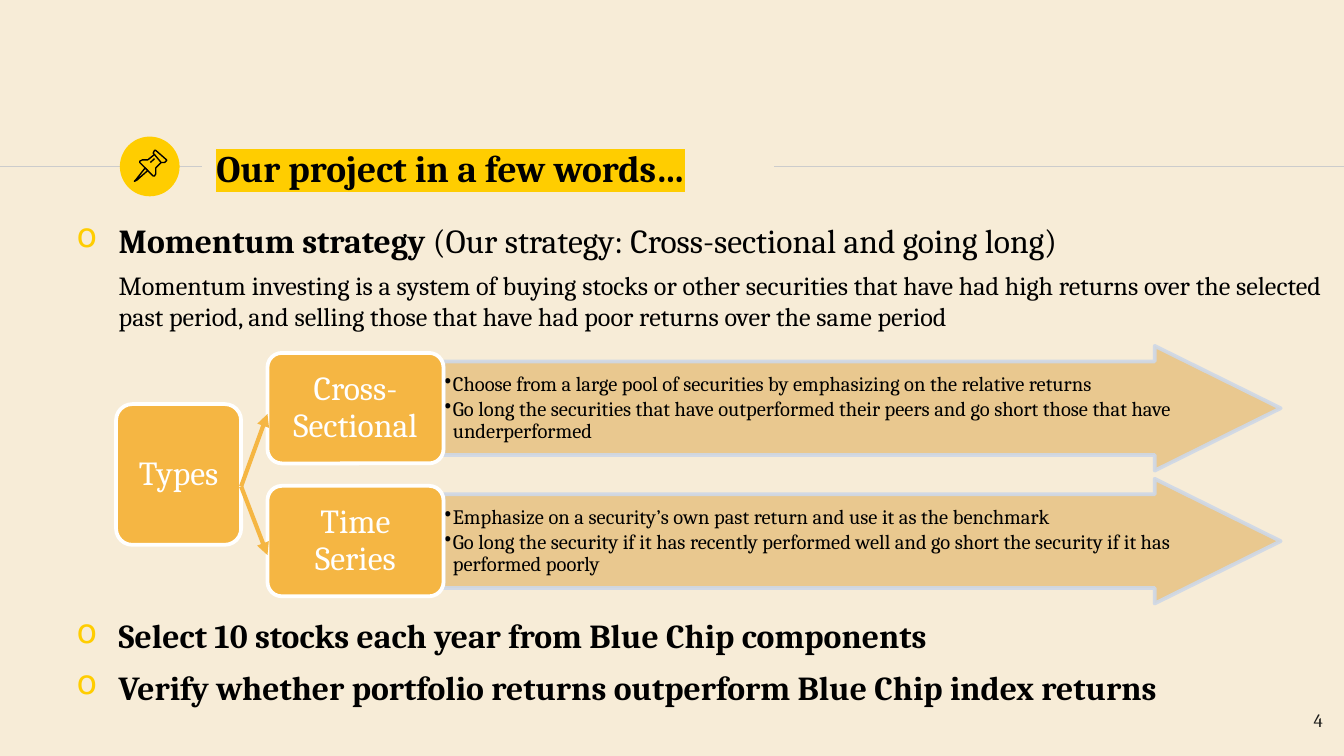
from dataclasses import dataclass
from typing import Optional

from lxml.etree import SubElement
from pptx import Presentation
from pptx.dml.color import RGBColor
from pptx.enum.shapes import MSO_CONNECTOR as Connector, MSO_SHAPE as Shape
from pptx.enum.text import MSO_ANCHOR as Anchor, PP_ALIGN as Align
from pptx.oxml.ns import qn
from pptx.util import Pt

COLORS = {
    "background": "F7ECD7", "yellow": "FFCD00", "rule": "CCCCCC",
    "black": "000000", "white": "FFFFFF", "page": "1D1D1B",
    "box": "F5B643", "arrow": "E8C588", "arrow_edge": "CED8E7",
}
FONT = "Cambria"


@dataclass(frozen=True)
class Phrase:
    text: str
    size: float = 18
    bold: bool = False
    color: str = "black"


@dataclass(frozen=True)
class Line:
    phrases: tuple[Phrase, ...]
    bullet: Optional[str] = None
    bullet_color: str = "black"
    indent: float = 0
    before: float = 0
    spacing: Optional[float] = None
    align: Align = Align.LEFT


@dataclass(frozen=True)
class Strategy:
    name: str
    center: float
    points: tuple[str, ...]


def rgb(name: str) -> RGBColor:
    return RGBColor.from_string(COLORS[name])


def write(frame, lines: list[Line], margins=(7.2, 7.2), anchor=Anchor.TOP) -> None:
    """Fill a text frame; margins are (sides, top and bottom)."""
    frame.word_wrap = True
    frame.vertical_anchor = anchor
    frame.margin_left = frame.margin_right = Pt(margins[0])
    frame.margin_top = frame.margin_bottom = Pt(margins[1])
    for i, line in enumerate(lines):
        paragraph = frame.paragraphs[0] if i == 0 else frame.add_paragraph()
        paragraph.alignment = line.align
        paragraph.space_before = Pt(line.before)
        if line.spacing:
            paragraph.line_spacing = line.spacing
        props = paragraph._p.get_or_add_pPr()
        props.set("marL", str(Pt(line.indent)))
        if line.bullet:
            props.set("indent", str(-Pt(line.indent)))
            tint = SubElement(props, qn("a:buClr"))
            SubElement(tint, qn("a:srgbClr"), val=COLORS[line.bullet_color])
            SubElement(props, qn("a:buChar"), char=line.bullet)
        for phrase in line.phrases:
            run = paragraph.add_run()
            run.text = phrase.text
            run.font.name = FONT
            run.font.size = Pt(phrase.size)
            run.font.bold = phrase.bold
            run.font.color.rgb = rgb(phrase.color)


def add_text(slide, left, top, width, height, lines: list[Line]) -> None:
    box = slide.shapes.add_textbox(Pt(left), Pt(top), Pt(width), Pt(height))
    write(box.text_frame, lines)


def add_solid(slide, kind, left, top, width, height, fill, edge=None):
    solid = slide.shapes.add_shape(kind, Pt(left), Pt(top), Pt(width), Pt(height))
    solid.shadow.inherit = False
    solid.fill.solid()
    solid.fill.fore_color.rgb = rgb(fill)
    if edge:
        solid.line.color.rgb = rgb(edge)
        solid.line.width = Pt(2)
    else:
        solid.line.fill.background()
    return solid


def add_line(slide, start, end, color, width, arrowhead=False) -> None:
    line = slide.shapes.add_connector(
        Connector.STRAIGHT, *(Pt(value) for value in (*start, *end)))
    line.line.color.rgb = rgb(color)
    line.line.width = Pt(width)
    if arrowhead:
        SubElement(line.line._get_or_add_ln(), qn("a:tailEnd"), type="triangle")
    SubElement(line._element.spPr, qn("a:effectLst"))


def add_outline(slide, points, closed: bool) -> None:
    first, *rest = [(Pt(x), Pt(y)) for x, y in points]
    builder = slide.shapes.build_freeform(*first)
    builder.add_line_segments(rest, close=closed)
    outline = builder.convert_to_shape()
    outline.shadow.inherit = False
    outline.fill.background()
    outline.line.color.rgb = rgb("black")
    outline.line.width = Pt(0.75)


def add_label_box(slide, label: str, left, center, width, height) -> None:
    box = add_solid(slide, Shape.ROUNDED_RECTANGLE, left, center - height / 2,
                    width, height, "box", "white")
    box.adjustments[0] = 0.13
    line = Line((Phrase(label, color="white"),), spacing=0.9, align=Align.CENTER)
    write(box.text_frame, [line], (5, 4), Anchor.MIDDLE)


def add_strategy(slide, strategy: Strategy) -> None:
    arrow = add_solid(slide, Shape.RIGHT_ARROW, 237.6, strategy.center - 33.4,
                      448.5, 66.8, "arrow", "arrow_edge")
    arrow.adjustments[0], arrow.adjustments[1] = 0.75, 1.01
    for color in arrow._element.spPr.iter(qn("a:srgbClr")):
        SubElement(color, qn("a:alpha"), val="90000")
    lines = [Line((Phrase(point, 11),), "•", indent=4.5, before=1.6 if i else 0,
                  spacing=0.9) for i, point in enumerate(strategy.points)]
    write(arrow.text_frame, lines, (0.5, 0), Anchor.MIDDLE)
    add_label_box(slide, strategy.name, 143.3, strategy.center, 94.3, 59.2)


def bullet_line(*phrases: Phrase, before: float = 0) -> Line:
    return Line(phrases, "o", "yellow", 22.5, before)


STRATEGIES = [
    Strategy("Cross- Sectional", 218.7, (
        "Choose from a large pool of securities by emphasizing on the relative returns",
        "Go long the securities that have outperformed their peers and go short "
        "those that have underperformed")),
    Strategy("Time Series", 289.9, (
        "Emphasize on a security’s own past return and use it as the benchmark",
        "Go long the security if it has recently performed well and go short "
        "the security if it has performed poorly")),
]

# Pushpin strokes: needle, cap, body, glint
PIN = [
    ([(77.8, 90), (72.7, 96.5), (72, 97.2), (73.4, 96.5), (79.2, 91.4)], True),
    ([(82.8, 82.8), (86.4, 87.1), (88.2, 87.1), (89.3, 86), (89.3, 85.7),
      (83.5, 80.6), (82.8, 80.6), (82.1, 82.1)], True),
    ([(82.8, 82.8), (79.2, 85.7), (76.3, 85.7), (74.9, 86.4), (74.9, 87.1),
      (82.1, 94.3), (82.8, 94.3), (83.5, 93.2), (83.5, 90), (86.4, 87.1)], False),
    ([(80.6, 87.1), (82.8, 85)], False),
]


def main() -> None:
    deck = Presentation()
    deck.slide_width, deck.slide_height = Pt(720), Pt(405)
    slide = deck.slides.add_slide(deck.slide_layouts[5])
    slide.background.fill.solid()
    slide.background.fill.fore_color.rgb = rgb("background")

    # Header rule and pin badge
    for start, end in ((0, 108), (414.7, 720)):
        add_line(slide, (start, 89.3), (end, 89.3), "rule", 0.75)
    add_solid(slide, Shape.OVAL, 64.2, 73.2, 32, 32, "yellow")
    for points, closed in PIN:
        add_outline(slide, points, closed)

    # Highlighted title
    title = slide.shapes.title
    title.left, title.top, title.width, title.height = map(Pt, (108.7, 72.7, 305.3, 34.6))
    write(title.text_frame, [Line((Phrase("Our project in a few words…", 20, True),))],
          anchor=Anchor.MIDDLE)
    title_props = title.text_frame.paragraphs[0].runs[0]._r.rPr
    highlight = SubElement(title_props, qn("a:highlight"))
    SubElement(highlight, qn("a:srgbClr"), val=COLORS["yellow"])
    title_props.find(qn("a:solidFill")).addnext(highlight)

    # Strategy definition
    add_text(slide, 34, 110.5, 686, 72, [
        bullet_line(Phrase("Momentum strategy ", bold=True),
                    Phrase("(Our strategy: Cross-sectional and going long)")),
        Line((Phrase("Momentum investing is a system of buying stocks or other securities "
                     "that have had high returns over the selected past period, and selling "
                     "those that have had poor returns over the same period", 14),),
             indent=22.5, before=5),
    ])

    # Types diagram
    for strategy in STRATEGIES:
        add_strategy(slide, strategy)
    add_label_box(slide, "Types", 62.2, 254.2, 67, 75.4)
    for tip in (221.8, 297.4):
        add_line(slide, (129.2, 260.6), (143.3, tip), "box", 2.25, arrowhead=True)

    # Next steps and page number
    add_text(slide, 34, 322.5, 686, 64, [
        bullet_line(Phrase("Select 10 stocks each year from Blue Chip components", bold=True)),
        bullet_line(Phrase("Verify whether portfolio returns outperform Blue Chip index returns",
                           bold=True), before=6),
    ])
    add_text(slide, 672.5, 373.7, 43.2, 31, [
        Line((Phrase("4", 10, color="page"),), align=Align.RIGHT)])

    deck.save("out.pptx")


if __name__ == "__main__":
    main()
